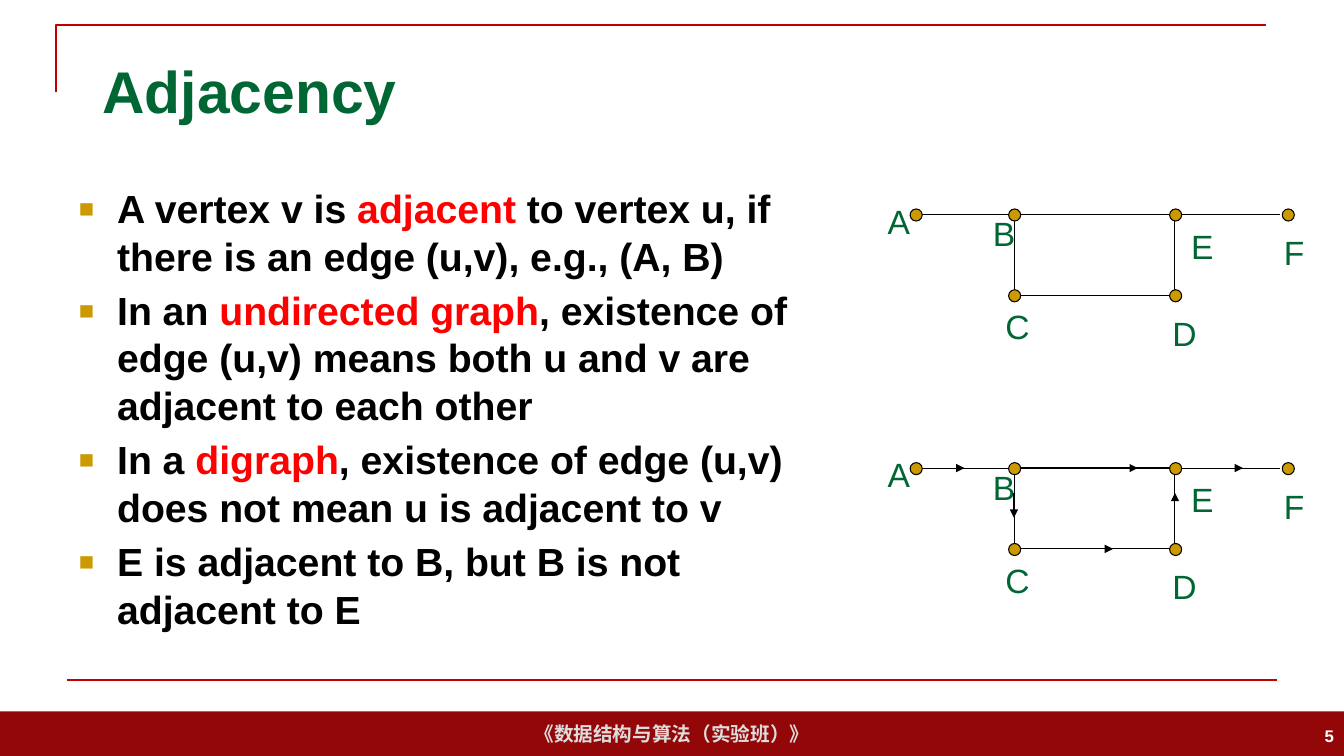
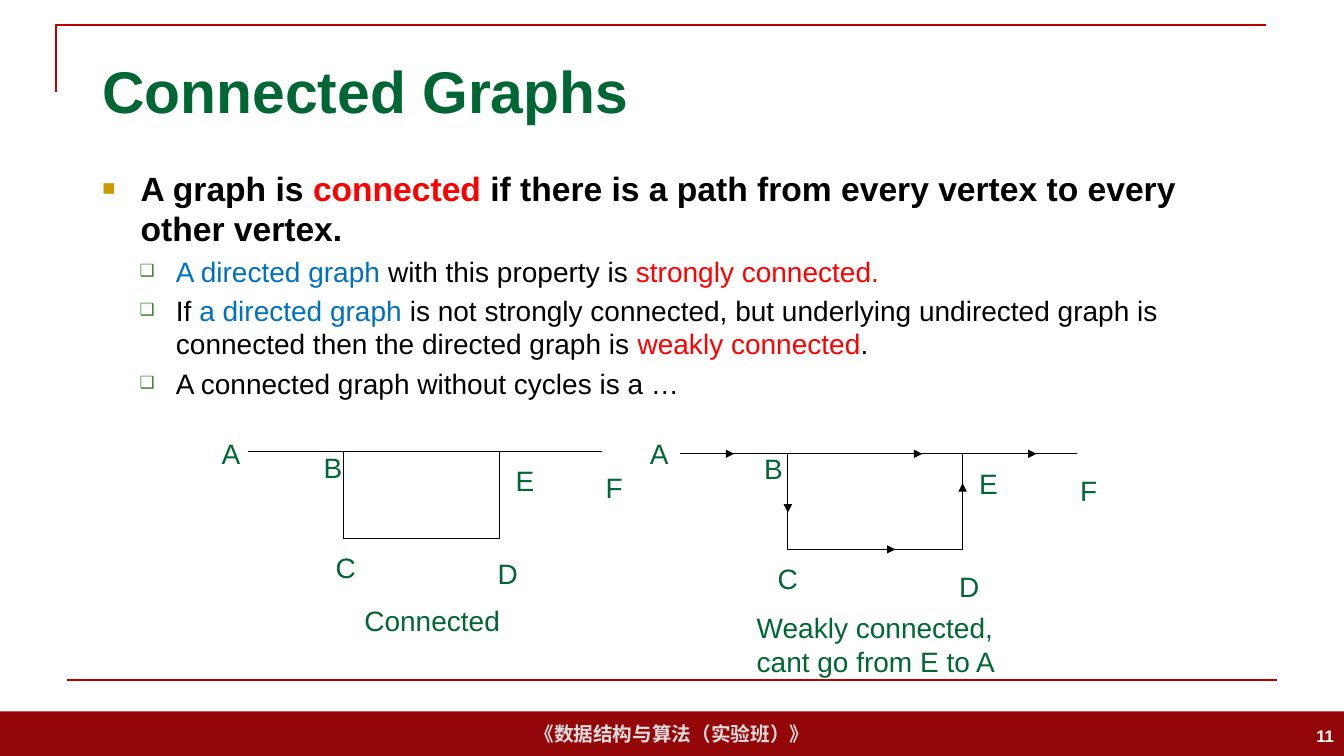
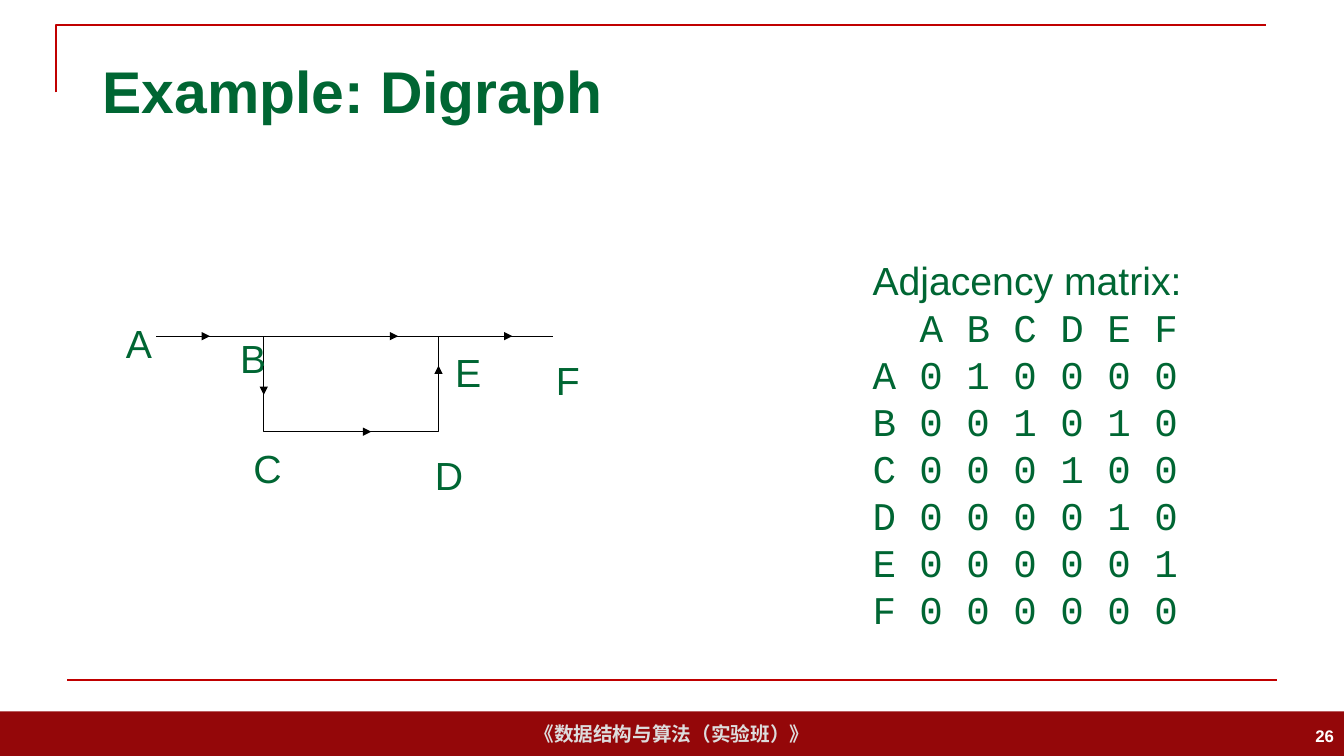
from dataclasses import dataclass

from lxml import etree
from pptx import Presentation
from pptx.dml.color import RGBColor
from pptx.enum.shapes import MSO_CONNECTOR, MSO_SHAPE
from pptx.enum.text import MSO_ANCHOR, MSO_AUTO_SIZE, PP_ALIGN
from pptx.oxml.ns import qn
from pptx.util import Inches, Pt

RECTANGLE, OVAL = MSO_SHAPE.RECTANGLE, MSO_SHAPE.OVAL
STRAIGHT = MSO_CONNECTOR.STRAIGHT
LEFT, CENTER, RIGHT = PP_ALIGN.LEFT, PP_ALIGN.CENTER, PP_ALIGN.RIGHT
TOP, MIDDLE = MSO_ANCHOR.TOP, MSO_ANCHOR.MIDDLE
NO_AUTOFIT = MSO_AUTO_SIZE.NONE

GREEN, RED, BLUE, BLACK, WHITE = "006633", "FF0000", "0070C0", "000000", "FFFFFF"
GOLD, BAND, RULE, FOOTER = "CC9900", "940709", "C00000", "DDDDDD"
FONT, MONO = "Arial", "Courier New"

# The page grid has 160 columns and 90 rows, each 1/12 inch
PAGE_COLUMNS, PAGE_ROWS = 160, 90
WIDTH, HEIGHT = Inches(PAGE_COLUMNS / 12), Inches(PAGE_ROWS / 12)

# Bullet styles by level: sign, colour, size %, left margin, hanging, bold
BULLETS = [("■", GOLD, 65, 27.4, 27.4, True),
           ("❑", "3B812F", 60, 52.6, 26, False)]

# A graph has its own grid of 70 columns and 20 rows
GRAPH_COLUMNS, GRAPH_ROWS = 70, 20
FRAME = (22, 3, 26, 13)
ARMS = [((6, 3), (22, 3)), ((48, 3), (65, 3))]
LABELS = {"A": (0, 0), "B": (17, 2), "C": (19, 17),
          "D": (46, 18), "E": (49, 4), "F": (64, 5)}
ARROWS = [((23, 3), (42, 3)), ((8, 3), (14, 3)), ((22, 7), (22, 11)),
          ((26, 16), (38, 16)), ((48, 14), (48, 7)), ((51, 3), (59, 3))]
VERTICES = [(22.1, 3.1), (22.1, 16.1), (48.1, 3.1), (48.1, 16.1),
            (6.2, 3.1), (66.3, 3.1)]
DOT = Inches(0.12)

MATRIX = ["A B C D E F", "A 0 1 0 0 0 0", "B 0 0 1 0 1 0", "C 0 0 0 1 0 0",
          "D 0 0 0 0 1 0", "E 0 0 0 0 0 1", "F 0 0 0 0 0 0"]


@dataclass
class Box:
    """An area divided into columns and rows."""
    left: int
    top: int
    width: int
    height: int
    columns: float = 1
    rows: float = 1

    def point(self, column, row):
        return (round(self.left + self.width * column / self.columns),
                round(self.top + self.height * row / self.rows))

    def area(self, column, row, across, down):
        left, top = self.point(column, row)
        right, bottom = self.point(column + across, row + down)
        return left, top, right - left, bottom - top


PAGE = Box(0, 0, WIDTH, HEIGHT, PAGE_COLUMNS, PAGE_ROWS)


def color(value):
    return RGBColor.from_string(value)


def set_values(target, values):
    for name, value in values.items():
        setattr(target, name, value)


def add_child(parent, tag, **attributes):
    child = etree.SubElement(parent, qn(tag))
    for name, value in attributes.items():
        child.set(name, str(value))
    return child


def paint(shape, fill=None, line=None, weight=0.75):
    shape.shadow.inherit = False
    if fill:
        shape.fill.solid()
        shape.fill.fore_color.rgb = color(fill)
    else:
        shape.fill.background()
    if line:
        shape.line.color.rgb = color(line)
        shape.line.width = Pt(weight)
    else:
        shape.line.fill.background()


def add_line(shapes, start, end, line=BLACK, weight=0.75, arrow=False):
    connector = shapes.add_connector(STRAIGHT, *start, *end)
    connector.line.color.rgb = color(line)
    connector.line.width = Pt(weight)
    if arrow:
        add_child(connector.line.fill and connector.element.spPr.find(qn("a:ln")),
                  "a:tailEnd", type="triangle")
    add_child(connector.element.spPr, "a:effectLst")
    return connector


def add_span(para, text, size, ink=GREEN, bold=False, font=FONT):
    span = para.add_run()
    span.text = text
    set_values(span.font, {"size": Pt(size), "name": font, "bold": bold})
    span.font.color.rgb = color(ink)


def prepare_frame(frame, anchor=TOP, wrap=True):
    set_values(frame, {"word_wrap": wrap, "auto_size": NO_AUTOFIT,
                       "vertical_anchor": anchor})
    return frame


def next_para(frame, index):
    return frame.add_paragraph() if index else frame.paragraphs[0]


def add_text(shapes, area, lines, size, ink=GREEN, bold=False, align=LEFT, anchor=TOP):
    frame = prepare_frame(shapes.add_textbox(*area).text_frame, anchor)
    for index, line in enumerate(lines):
        para = next_para(frame, index)
        para.alignment = align
        add_span(para, line, size, ink, bold)
    return frame


def set_margin(para, margin, hanging=0):
    properties = para._p.get_or_add_pPr()
    properties.set("marL", str(Pt(margin)))
    properties.set("indent", str(-Pt(hanging)))
    return properties


def add_bullets(slide, area, items):
    """Items are (level, size, spans); a span is (text, colour)."""
    frame = prepare_frame(slide.shapes.add_textbox(*area).text_frame)
    for index, (level, size, spans) in enumerate(items):
        sign, ink, percent, margin, hanging, bold = BULLETS[level]
        para = next_para(frame, index)
        set_values(para, {"level": level, "space_before": Pt(size * 0.2)})
        properties = set_margin(para, margin, hanging)
        add_child(add_child(properties, "a:buClr"), "a:srgbClr", val=ink)
        add_child(properties, "a:buSzPct", val=percent * 1000)
        add_child(properties, "a:buFont", typeface=FONT)
        add_child(properties, "a:buChar", char=sign)
        for text, span_ink in spans:
            add_span(para, text, size, span_ink, bold)


def add_graph(slide, area, size, directed=False, dots=False):
    grid = Box(*area, GRAPH_COLUMNS, GRAPH_ROWS)
    shapes = slide.shapes.add_group_shape().shapes
    # Edges
    paint(shapes.add_shape(RECTANGLE, *grid.area(*FRAME)), line=BLACK)
    for start, end in ARMS:
        add_line(shapes, grid.point(*start), grid.point(*end))
    # Vertex names
    for name, (column, row) in LABELS.items():
        left, top, width, _ = grid.area(column, row, 6, 1)
        height = Pt(size * 1.2) + Inches(0.1)
        add_text(shapes, (left, top, width, height), [name], size)
    # Directions
    for start, end in ARROWS if directed else []:
        add_line(shapes, grid.point(*start), grid.point(*end), arrow=True)
    # Vertex dots
    for vertex in VERTICES if dots else []:
        left, top = grid.point(*vertex)
        dot = shapes.add_shape(OVAL, left - DOT // 2, top - DOT // 2, DOT, DOT)
        paint(dot, GOLD, BLACK)


def add_matrix(slide, area):
    frame = add_text(slide.shapes, area, ["Adjacency matrix:"], 28)
    for index, row in enumerate(MATRIX):
        para = frame.add_paragraph()
        # The heading row skips two characters of 0.6 em
        set_margin(para, 0 if index else 2 * 0.6 * 28)
        add_span(para, row, 28, font=MONO)


def add_frame(layout, slide):
    """Draw the band and rules, then hand them to the layout."""
    shapes = slide.shapes
    # Footer band
    band = shapes.add_shape(RECTANGLE, *PAGE.area(0, 84.7, 160, 5.3))
    paint(band, BAND)
    para = prepare_frame(band.text_frame, MIDDLE, False).paragraphs[0]
    para.alignment = CENTER
    add_span(para, "《数据结构与算法（实验班）》", 14, FOOTER, True)
    # Corner rule
    builder = shapes.build_freeform(*PAGE.point(6.7, 11))
    builder.add_line_segments([PAGE.point(6.7, 3), PAGE.point(150.7, 3)], close=False)
    corner = builder.convert_to_shape()
    paint(corner, line=RULE, weight=1.5)
    # Bottom rule
    bottom = add_line(shapes, PAGE.point(8, 81), PAGE.point(152, 81), RULE, 1.5)
    for part in (band, corner, bottom):
        layout.shapes.element.append(part.element)


def add_page(deck, layout, title, number):
    slide = deck.slides.add_slide(layout)
    holder = slide.shapes.title
    left, top, width, height = PAGE.area(11, 4.8, 138, 11.9)
    set_values(holder, {"left": left, "top": top, "width": width, "height": height})
    para = prepare_frame(holder.text_frame, MIDDLE).paragraphs[0]
    para.alignment = LEFT
    add_span(para, title, 42, GREEN, True)
    add_text(slide.shapes, PAGE.area(124, 85.2, 36, 4.8), [number], 12,
             WHITE, True, RIGHT, MIDDLE)
    return slide


def fill_adjacency(slide):
    items = [
        [("A vertex v is ", BLACK), ("adjacent", RED),
         (" to vertex u, if there is an edge (u,v), e.g., (A, B)", BLACK)],
        [("In an ", BLACK), ("undirected graph", RED),
         (", existence of edge (u,v) means both u and v are adjacent to each other",
          BLACK)],
        [("In a ", BLACK), ("digraph", RED),
         (", existence of edge (u,v) does not mean u is adjacent to v", BLACK)],
        [("E is adjacent to B, but B is not adjacent to E", BLACK)],
    ]
    add_bullets(slide, PAGE.area(8.2, 21.4, 90.5, 59.4),
                [(0, 28, spans) for spans in items])
    for row, directed in ((23.3, False), (53.5, True)):
        add_graph(slide, PAGE.area(104.5, row, 51.6, 14.8), 24, directed, dots=True)


def fill_connected(slide):
    add_bullets(slide, PAGE.area(11, 19.4, 138, 61.8), [
        (0, 24, [("A graph is ", BLACK), ("connected", RED),
                 (" if there is a path from every vertex to every other vertex.",
                  BLACK)]),
        (1, 20, [("A directed graph ", BLUE), ("with this property is ", BLACK),
                 ("strongly connected.", RED)]),
        (1, 20, [("If ", BLACK), ("a directed graph", BLUE),
                 (" is not strongly connected, but underlying undirected graph is "
                  "connected then the directed graph is ", BLACK),
                 ("weakly connected", RED), (".", BLACK)]),
        (1, 20, [("A connected graph without cycles is a …", BLACK)]),
    ])
    add_graph(slide, PAGE.area(25.2, 51.4, 50, 15.9), 20)
    add_graph(slide, PAGE.area(76.2, 51.4, 56, 17.5), 20, directed=True)
    add_text(slide.shapes, PAGE.area(42.2, 71.3, 23, 5.3), ["Connected"], 20)
    add_text(slide.shapes, PAGE.area(88.9, 72.1, 33, 9.2),
             ["Weakly connected,", "cant go from E to A"], 20)


def fill_digraph(slide):
    add_graph(slide, PAGE.area(13.8, 37.4, 56, 17.5), 28, directed=True)
    add_matrix(slide, PAGE.area(102.7, 29.9, 55, 46.4))


def main():
    deck = Presentation()
    set_values(deck, {"slide_width": WIDTH, "slide_height": HEIGHT})
    layout = deck.slide_layouts.get_by_name("Title Only")
    pages = [("Adjacency", "5", fill_adjacency),
             ("Connected Graphs", "11", fill_connected),
             ("Example: Digraph", "26", fill_digraph)]
    for index, (title, number, fill_page) in enumerate(pages):
        slide = add_page(deck, layout, title, number)
        if index == 0:
            add_frame(layout, slide)
        fill_page(slide)
    deck.save("out.pptx")


if __name__ == "__main__":
    main()
